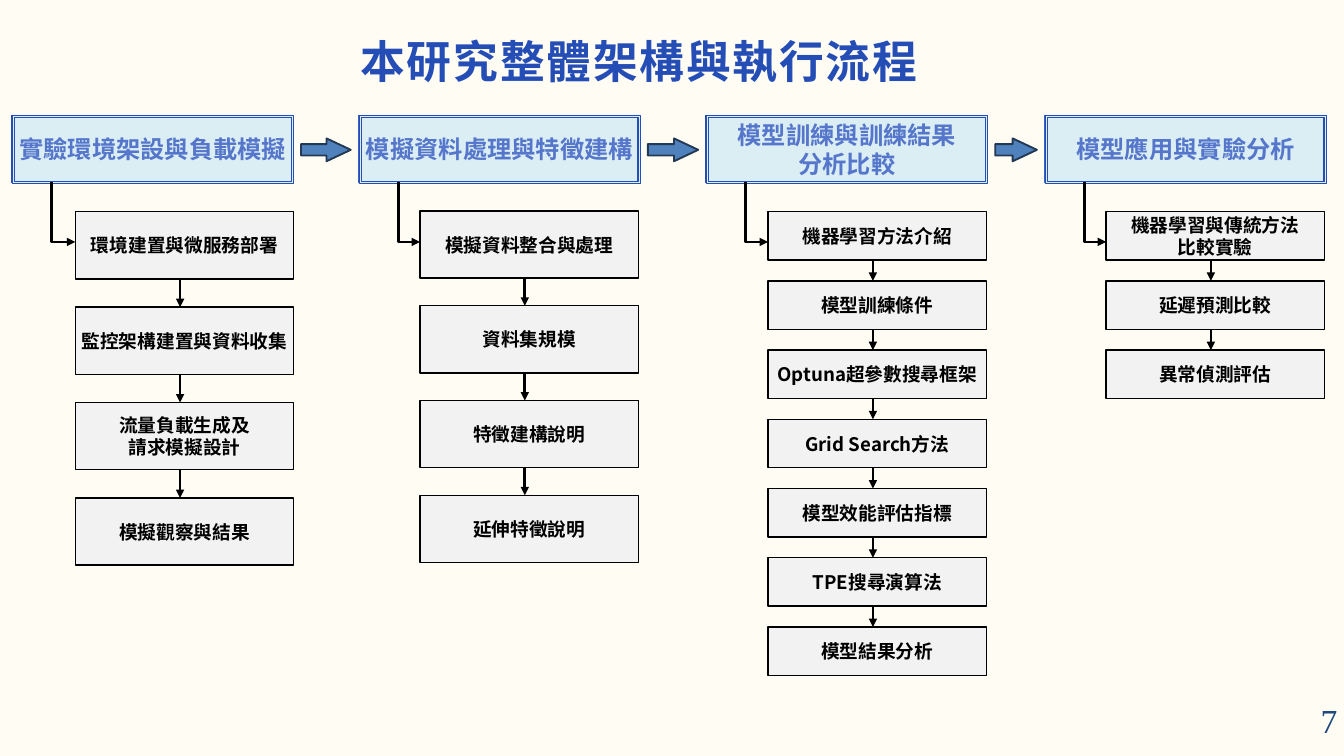
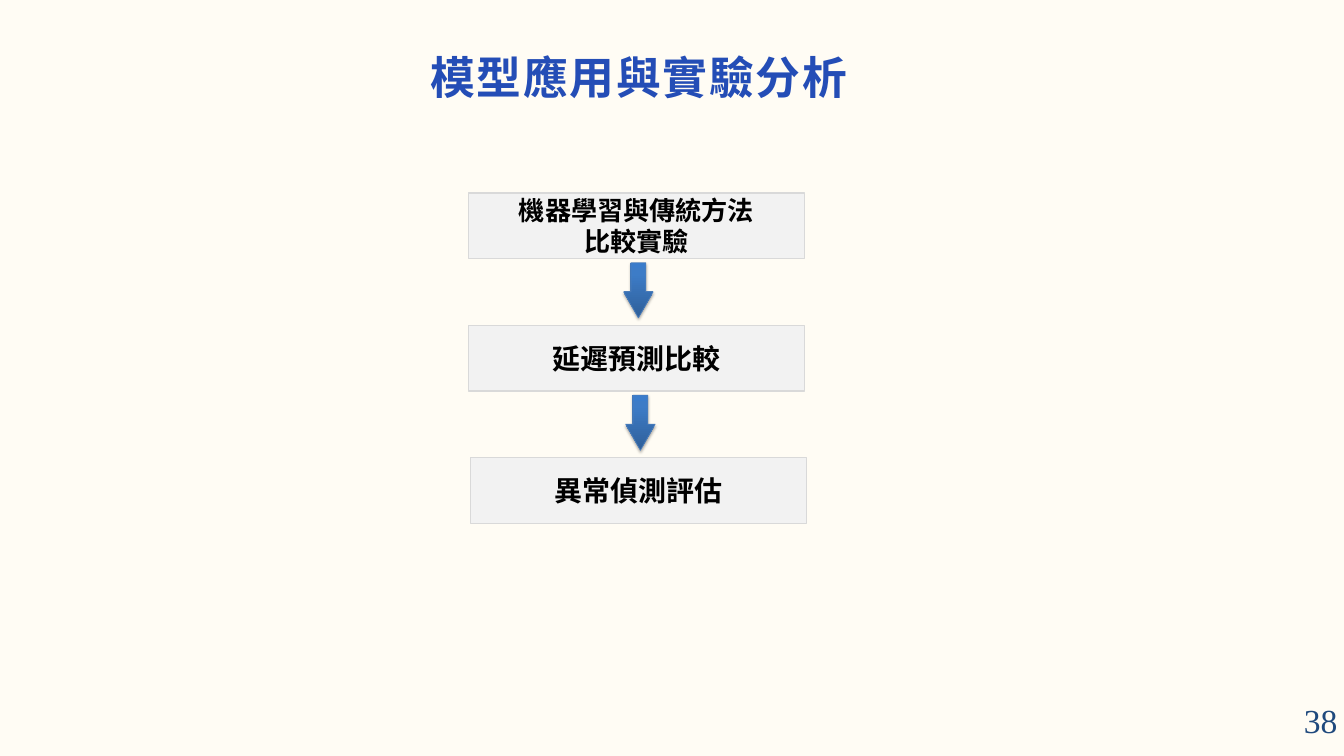
import copy

import pptx
import pptx.dml.color
import pptx.enum.shapes
import pptx.enum.text
import pptx.oxml
import pptx.oxml.ns
import pptx.util

EMU_PER_PX = 9144  # 100 px to the inch
SHAPE = pptx.enum.shapes.MSO_SHAPE
CONNECTOR = pptx.enum.shapes.MSO_CONNECTOR
ALIGN = pptx.enum.text.PP_ALIGN
ANCHOR = pptx.enum.text.MSO_ANCHOR
qn = pptx.oxml.ns.qn

CJK_FONT, NUMBER_FONT = "Noto Sans CJK SC", "Times New Roman"
PAPER, BLACK, STEP_FILL = "FFFCF4", "000000", "F2F2F2"
TITLE_BLUE, PHASE_BLUE, PHASE_FILL = "244DB6", "5576CB", "DBEEF4"
NUMBER_BLUE, PALE_EDGE = "1F497D", "D9D9D9"
ARROW_FILL, ARROW_EDGE = "4F81BD", "233953"
ARROW_GRADIENT = [(0, "2F5F99"), (0.8, "3D7CC7"), (1, "3A7CCB")]
GRADIENT_EDGE = "4B7EBC"

PHASE_TOP, PHASE_WIDTH, PHASE_HEIGHT = 171, 416, 100
FRAME_WIDTH, FRAME_HEIGHT = 419, 102
STEP_WIDTH, ENTRY_Y = 325, 360

# phase name, phase left, steps left, steps top, step height, step pitch, steps
PHASES = [
    ("實驗環境架設與負載模擬", 17, 112, 315, 100, 142,
     ["環境建置與微服務部署", "監控架構建置與資料收集",
      "流量負載生成及\n請求模擬設計", "模擬觀察與結果"]),
    ("模擬資料處理與特徵建構", 533, 625, 314, 100, 141,
     ["模擬資料整合與處理", "資料集規模", "特徵建構說明", "延伸特徵說明"]),
    ("模型訓練與訓練結果\n分析比較", 1050, 1143, 315, 72, 103,
     ["機器學習方法介紹", "模型訓練條件", "Optuna超參數搜尋框架",
      "Grid Search方法", "模型效能評估指標", "TPE搜尋演算法", "模型結果分析"]),
    ("模型應用與實驗分析", 1554, 1646, 315, 72, 103,
     ["機器學習與傳統方法\n比較實驗", "延遲預測比較", "異常偵測評估"]),
]
# text, size, left
EXPERIMENTS = [("機器學習與傳統方法\n比較實驗", 28, 697),
               ("延遲預測比較", 30, 697), ("異常偵測評估", 30, 700)]


def px(*lengths):
    return [pptx.util.Emu(round(length * EMU_PER_PX)) for length in lengths]


def rgb(hex_colour):
    return pptx.dml.color.RGBColor.from_string(hex_colour)


def write(frame, text, size, colour, font=CJK_FONT, bold=True, align=ALIGN.CENTER):
    frame.word_wrap = True
    frame.text = text
    for paragraph in frame.paragraphs:
        paragraph.alignment = align
        for run in paragraph.runs:
            run.font.size = pptx.util.Pt(size)
            run.font.bold = bold
            run.font.color.rgb = rgb(colour)
            run.font.name = font
            east_asian = pptx.oxml.parse_xml(
                f'<a:ea {pptx.oxml.ns.nsdecls("a")} typeface="{font}"/>')
            run.font._element.append(east_asian)


def remove_insets(frame):
    frame.margin_left = frame.margin_right = frame.margin_top = frame.margin_bottom = 0


def add_block(slide, kind, box, fill, edge, edge_width):
    block = slide.shapes.add_shape(kind, *px(*box))
    block.shadow.inherit = False
    block.fill.solid()
    block.fill.fore_color.rgb = rgb(fill)
    block.line.color.rgb = rgb(edge)
    block.line.width = pptx.util.Pt(edge_width)
    remove_insets(block.text_frame)
    block.text_frame.vertical_anchor = ANCHOR.MIDDLE
    return block


def add_step(slide, text, box, size=20, edge=BLACK):
    step = add_block(slide, SHAPE.RECTANGLE, box, STEP_FILL, edge, 1.5)
    write(step.text_frame, text, size, BLACK)


def add_phase(slide, name, left):
    add_block(slide, SHAPE.RECTANGLE, (left, PHASE_TOP, PHASE_WIDTH, PHASE_HEIGHT),
              PHASE_FILL, TITLE_BLUE, 0.75)
    frame = add_block(slide, SHAPE.FRAME, (left + 1, PHASE_TOP, FRAME_WIDTH, FRAME_HEIGHT),
                      PHASE_FILL, TITLE_BLUE, 0.75)
    frame.adjustments[0] = 0.03
    write(frame.text_frame, name, 26, PHASE_BLUE)


def add_phase_arrow(slide, left, next_left):
    """Block arrow centred in the gap between two phases."""
    gap_left = left + 1 + FRAME_WIDTH
    box = (gap_left + 11, 206, next_left - gap_left - 22, 34)
    arrow = add_block(slide, SHAPE.RIGHT_ARROW, box, ARROW_FILL, ARROW_EDGE, 2)
    arrow.adjustments[1] = 1.06


def add_link(slide, kind, x1, y1, x2, y2):
    link = slide.shapes.add_connector(kind, *px(x1, y1, x2, y2))
    link.line.color.rgb = rgb(BLACK)
    link.line.width = pptx.util.Pt(3)
    namespace = pptx.oxml.ns.nsdecls("a")
    link.line._get_or_add_ln().append(
        pptx.oxml.parse_xml(f'<a:tailEnd {namespace} type="triangle"/>'))
    link._element.spPr.append(pptx.oxml.parse_xml(f"<a:effectLst {namespace}/>"))
    return link


def add_entry_link(slide, x1, y1, x2, y2):
    """One-bend link that runs down from the phase, then right to its first step."""
    middle_x, middle_y = (x1 + x2) / 2, (y1 + y2) / 2
    half_drop, half_reach = (y2 - y1) / 2, (x2 - x1) / 2
    link = add_link(slide, CONNECTOR.ELBOW, middle_x + half_drop, middle_y - half_reach,
                    middle_x - half_drop, middle_y + half_reach)
    properties = link._element.spPr
    properties.find(qn("a:xfrm")).set("rot", "16200000")
    properties.find(qn("a:prstGeom")).set("prst", "bentConnector2")


def add_steps(slide, left, top, height, pitch, steps):
    link_x = left + 156
    for index, text in enumerate(steps):
        step_top = top + index * pitch
        add_step(slide, text, (left, step_top, STEP_WIDTH, height))
        if index:
            add_link(slide, CONNECTOR.STRAIGHT, link_x, step_top - pitch + height,
                     link_x, step_top)


def add_gradient_arrow(slide, left, top):
    arrow = add_block(slide, SHAPE.DOWN_ARROW, (left, top, 44, 82),
                      ARROW_FILL, GRADIENT_EDGE, 0.75)
    arrow.adjustments[1] = 0.88
    arrow.fill.gradient()
    arrow.fill.gradient_angle = 90
    properties = arrow._element.spPr
    stop_list = properties.find(qn("a:gradFill")).find(qn("a:gsLst"))
    stop_list.append(copy.deepcopy(stop_list[0]))
    for stop, (position, colour) in zip(arrow.fill.gradient_stops, ARROW_GRADIENT):
        stop.position = position
        stop.color.rgb = rgb(colour)
    properties.find(qn("a:effectLst")).append(pptx.oxml.parse_xml(
        f'<a:outerShdw {pptx.oxml.ns.nsdecls("a")} blurRad="40000" dist="23000" '
        'dir="5400000" rotWithShape="0"><a:srgbClr val="000000">'
        '<a:alpha val="35000"/></a:srgbClr></a:outerShdw>'))


def add_page(deck, title, title_top, number):
    """Blank slide with the shared background, title and page number."""
    slide = deck.slides.add_slide(deck.slide_layouts[6])
    slide.background.fill.solid()
    slide.background.fill.fore_color.rgb = rgb(PAPER)
    heading = slide.shapes.add_textbox(*px(501, title_top, 900, 60)).text_frame
    remove_insets(heading)
    write(heading, title, 48, TITLE_BLUE)
    heading.paragraphs[0].line_spacing = pptx.util.Pt(42.4)
    heading.paragraphs[0].runs[0].font._element.set("spc", "190")
    footer = slide.shapes.add_textbox(*px(1767, 1052, 233, 40)).text_frame
    footer.vertical_anchor = ANCHOR.MIDDLE
    write(footer, str(number), 36, NUMBER_BLUE, NUMBER_FONT, False, ALIGN.RIGHT)
    return slide


def build_workflow(deck):
    slide = add_page(deck, "本研究整體架構與執行流程", 71, 7)
    for name, phase_left, steps_left, top, height, pitch, steps in PHASES:
        add_phase(slide, name, phase_left)
        add_steps(slide, steps_left, top, height, pitch, steps)
        add_entry_link(slide, phase_left + 60, PHASE_TOP + PHASE_HEIGHT,
                       steps_left, ENTRY_Y)
    for phase, next_phase in zip(PHASES, PHASES[1:]):
        add_phase_arrow(slide, phase[1], next_phase[1])


def build_experiments(deck):
    slide = add_page(deck, "模型應用與實驗分析", 95, 38)
    top, pitch = 287, 197
    for index, (text, size, left) in enumerate(EXPERIMENTS):
        add_step(slide, text, (left, top + index * pitch, 500, 98), size, PALE_EDGE)
    for index, left in enumerate((928, 931)):
        add_gradient_arrow(slide, left, top + 104 + index * pitch)


def main():
    deck = pptx.Presentation()
    deck.slide_width, deck.slide_height = px(2000, 1125)
    build_workflow(deck)
    build_experiments(deck)
    deck.save("out.pptx")


if __name__ == "__main__":
    main()
